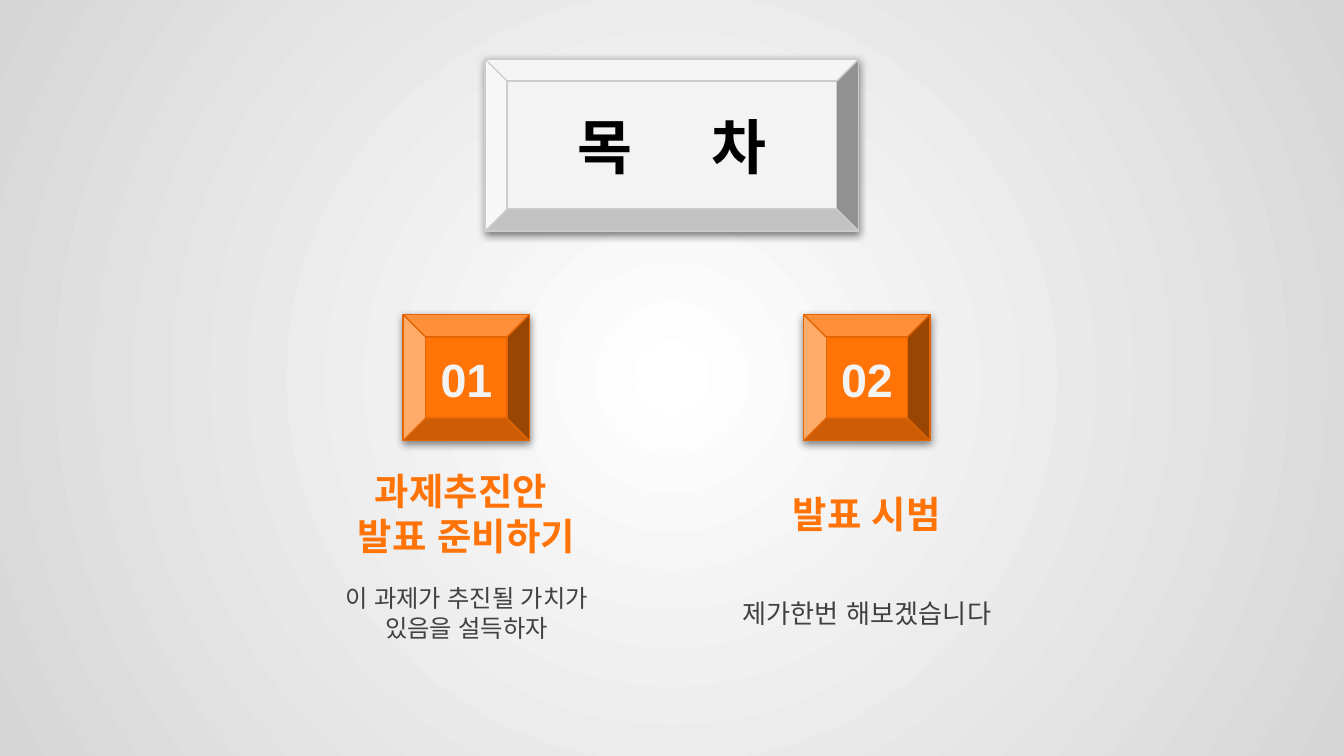
from lxml import etree
from pptx import Presentation
from pptx.dml.color import RGBColor
from pptx.enum import shapes, text
from pptx.oxml import ns
from pptx.util import Inches, Pt

FONT = "Arial"
ORANGE = "FF7307"
ORANGE_EDGE = "E46503"
PALE = "F3F3F3"
PALE_EDGE = "CCCCCC"
BLACK = "000000"
DARK = "42413F"

# column centre, number, heading lines, heading height, description, its size
COLUMNS = [
    (3.47, "01", ["과제추진안 ", "발표 준비하기"], 0.88, "이 과제가 추진될 가치가 있음을 설득하자", 13),
    (6.45, "02", ["발표 시범"], 0.54, "제가한번 해보겠습니다", 14),
]


def rgb(value):
    return RGBColor.from_string(value)


def paint_background(slide, inner, outer):
    """Fill the background with a circular gradient from the centre."""
    fill = slide.background.fill
    fill.gradient()
    for stop, color, position in zip(fill.gradient_stops, (inner, outer), (0, 1)):
        stop.color.rgb = rgb(color)
        stop.position = position
    gradient = slide.element.find(".//" + ns.qn("a:gradFill"))
    linear = gradient.find(ns.qn("a:lin"))
    circle = etree.Element(ns.qn("a:path"), path="circle")
    etree.SubElement(circle, ns.qn("a:fillToRect"), l="50000", t="50000", r="50000", b="50000")
    gradient.replace(linear, circle)


def add_shadow(shape):
    shape.shadow.inherit = False
    effects = shape.element.spPr.find(ns.qn("a:effectLst"))
    shadow = etree.SubElement(
        effects, ns.qn("a:outerShdw"), blurRad=str(Pt(4.5)), dist=str(Pt(1.5)),
        dir="5400000", algn="bl", rotWithShape="0")
    color = etree.SubElement(shadow, ns.qn("a:srgbClr"), val=BLACK)
    etree.SubElement(color, ns.qn("a:alpha"), val="50000")


def add_bevel(slide, left, top, width, height, depth, fill, edge):
    shape = slide.shapes.add_shape(
        shapes.MSO_SHAPE.BEVEL, Inches(left), Inches(top), Inches(width), Inches(height))
    shape.adjustments[0] = depth
    shape.fill.solid()
    shape.fill.fore_color.rgb = rgb(fill)
    shape.line.color.rgb = rgb(edge)
    shape.line.width = Pt(0.75)
    add_shadow(shape)
    return shape


def set_font(run, size, color, bold):
    """Format a run, with the same font for Latin and Korean text."""
    run.font.size = Pt(size)
    run.font.bold = bold
    run.font.color.rgb = rgb(color)
    run.font.name = FONT
    properties = run.font._element if hasattr(run.font, "_element") else run._r.get_or_add_rPr()
    etree.SubElement(properties, ns.qn("a:ea"), typeface=FONT)


def write(shape, lines, size, color, bold=True, grow=False):
    """Put centred lines into a shape, one paragraph each."""
    frame = shape.text_frame
    frame.word_wrap = True
    frame.auto_size = (text.MSO_AUTO_SIZE.SHAPE_TO_FIT_TEXT if grow
                       else text.MSO_AUTO_SIZE.NONE)
    frame.vertical_anchor = text.MSO_ANCHOR.MIDDLE
    frame.margin_left = frame.margin_right = Inches(0.1)
    frame.margin_top = frame.margin_bottom = Inches(0.1)
    for index, line in enumerate(lines):
        paragraph = frame.add_paragraph() if index else frame.paragraphs[0]
        paragraph.alignment = text.PP_ALIGN.CENTER
        run = paragraph.add_run()
        run.text = line
        set_font(run, size, color, bold)


def add_centred_box(slide, center, middle, width, height):
    return slide.shapes.add_textbox(
        Inches(center - width / 2), Inches(middle - height / 2), Inches(width), Inches(height))


def place_title(slide, center, middle, width, height):
    title = slide.shapes.title
    title.left, title.top = Inches(center - width / 2), Inches(middle - height / 2)
    title.width, title.height = Inches(width), Inches(height)
    return title


def add_column(slide, center, number, heading, heading_height, description, size):
    side = 0.94
    add_bevel(slide, center - side / 2, 2.34, side, side, 0.179, ORANGE, ORANGE_EDGE)
    write(add_centred_box(slide, center, 2.82, 1.39, 0.53), [number], 25, PALE)
    place = place_title if len(heading) == 1 else add_centred_box
    write(place(slide, center, 3.82, 2.08, heading_height), heading, 20, ORANGE, grow=True)
    write(add_centred_box(slide, center, 4.56, 2.39, 0.53), [description], size, DARK, bold=False)


def main():
    presentation = Presentation()
    presentation.slide_width = Inches(10)
    presentation.slide_height = Inches(10 * 9 / 16)
    slide = presentation.slides.add_slide(presentation.slide_layouts[5])
    paint_background(slide, "FFFFFF", "D6D6D6")
    contents = add_bevel(slide, 3.61, 0.44, 2.78, 1.28, 0.128, PALE, PALE_EDGE)
    write(contents, ["목 \t차"], 32, BLACK)
    for column in COLUMNS:
        add_column(slide, *column)
    presentation.save("out.pptx")


if __name__ == "__main__":
    main()
